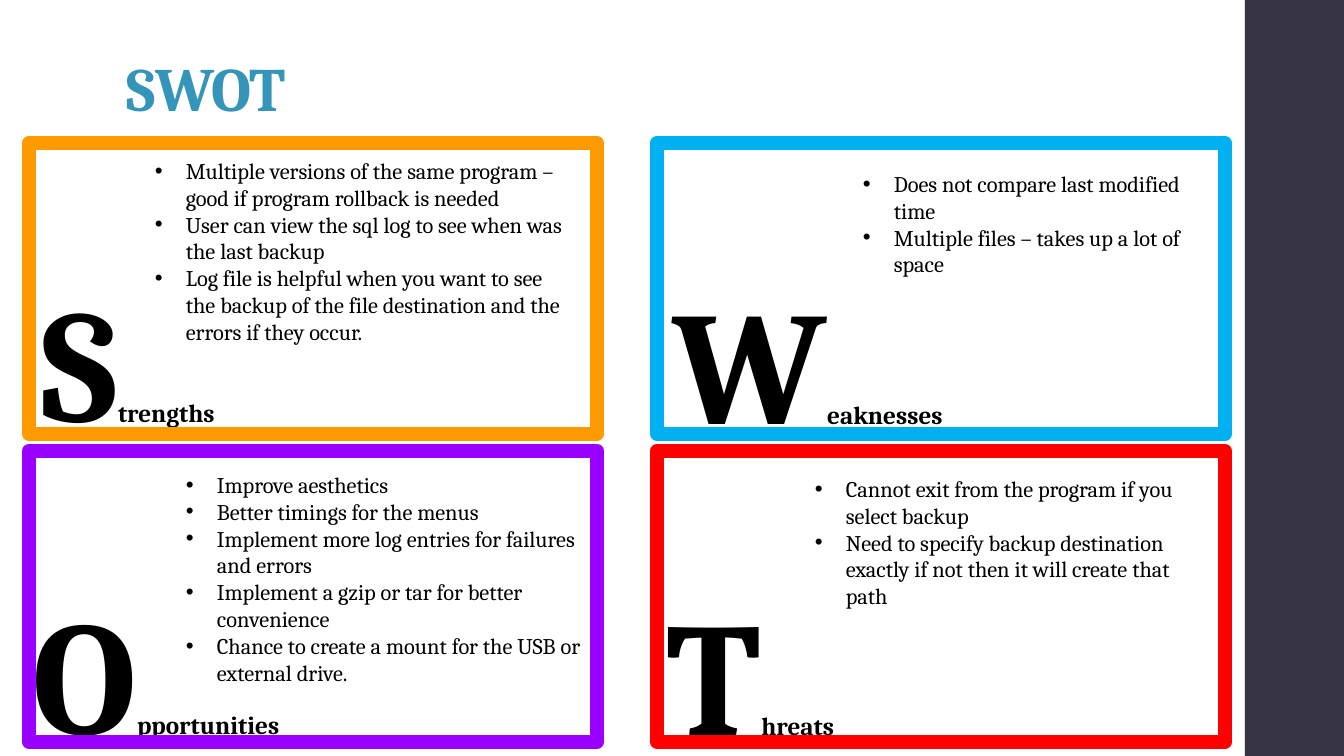
import pptx
import pptx.util
import pptx.dml.color
import pptx.enum.shapes
import pptx.enum.text
import lxml.etree

HUES = {"title": "3494BA", "text": "000000", "side": "373545",
        "gold": "FF9B00", "blue": "00B0F0", "plum": "9900FF", "red": "FF0000"}
FONT = "Cambria"
# Each part: word, frame colour, word box, list box, points
PARTS = [
    ("Strengths", "gold", (32, 257, 358, 206), (145, 152, 434, 228), [
        "Multiple versions of the same program – good if program rollback is needed",
        "User can view the sql log to see when was the last backup",
        "Log file is helpful when you want to see the backup of the file "
        "destination and the errors if they occur."]),
    ("Weaknesses", "blue", (663, 259, 384, 206), (853, 165, 360, 119), [
        "Does not compare last modified time",
        "Multiple files – takes up a lot of space"]),
    ("Opportunities", "plum", (23, 569, 452, 206), (176, 466, 420, 228), [
        "Improve aesthetics",
        "Better timings for the menus",
        "Implement more log entries for failures and errors",
        "Implement a gzip or tar for better convenience",
        "Chance to create a mount for the USB or external drive."]),
    ("Threats", "red", (657, 570, 402, 206), (805, 470, 420, 146), [
        "Cannot exit from the program if you select backup",
        "Need to specify backup destination exactly if not then it will "
        "create that path"]),
]
LEFT, TOP, WIDE, HIGH = 29, 143, 568, 291
STEP_X, STEP_Y = 628, 308
INDENT = 31
PIXEL = 914400 / 100.8


def emu(num):
    """Turn pixels into EMU."""
    return pptx.util.Emu(round(num * PIXEL))


def tint(name):
    """Look up a colour by name."""
    return pptx.dml.color.RGBColor.from_string(HUES[name])


def dot(para):
    """Give a paragraph a hanging bullet."""
    props = para._p.get_or_add_pPr()
    props.set("marL", str(emu(INDENT)))
    props.set("indent", str(-emu(INDENT)))
    space = pptx.oxml.ns.qn
    lxml.etree.SubElement(props, space("a:buFont")).set("typeface", "Arial")
    lxml.etree.SubElement(props, space("a:buChar")).set("char", "•")


def write(slide, box, paras, hue="text", bold=False, bullet=False,
          grow=True, space=None, track=None):
    """Add a text box; each paragraph is a list of (text, size) runs."""
    frame = slide.shapes.add_textbox(*map(emu, box)).text_frame
    frame.word_wrap = True
    if grow:
        frame.auto_size = pptx.enum.text.MSO_AUTO_SIZE.SHAPE_TO_FIT_TEXT
    for spot, runs in enumerate(paras):
        para = frame.add_paragraph() if spot else frame.paragraphs[0]
        if space:
            para.line_spacing = space
        if bullet:
            dot(para)
        for text, size in runs:
            run = para.add_run()
            run.text = text
            run.font.name = FONT
            run.font.size = pptx.util.Pt(size)
            run.font.bold = bold
            run.font.color.rgb = tint(hue)
            if track:
                run._r.get_or_add_rPr().set("spc", str(track))
    return frame


def block(slide, box, fill=None, line=None):
    """Add a rectangle with a fill, an outline or both."""
    shape = slide.shapes.add_shape(
        pptx.enum.shapes.MSO_SHAPE.RECTANGLE, *map(emu, box))
    shape.shadow.inherit = False
    if fill:
        shape.fill.solid()
        shape.fill.fore_color.rgb = tint(fill)
    else:
        shape.fill.background()
    if line:
        shape.line.color.rgb = tint(line)
        shape.line.width = pptx.util.Pt(10)
    else:
        shape.line.fill.background()


def main():
    """Build the slide and save it."""
    deck = pptx.Presentation()
    deck.slide_width, deck.slide_height = emu(1344), emu(756)
    slide = deck.slides.add_slide(deck.slide_layouts[6])
    block(slide, (1245, 0, 99, 756), fill="side")
    head = write(slide, (117, 23, 1093, 107), [[("SWOT", 44)]], hue="title",
                 bold=True, grow=False, space=0.9, track=-50)
    head.vertical_anchor = pptx.enum.text.MSO_ANCHOR.BOTTOM
    head.margin_top = emu(3)
    for word, _, box, _, _ in PARTS:
        write(slide, box, [[(word[0], 115), (word[1:], 18)]], bold=True)
    for spot, (_, hue, _, _, _) in enumerate(PARTS):
        row, col = divmod(spot, 2)
        block(slide, (LEFT + col * STEP_X, TOP + row * STEP_Y, WIDE, HIGH),
              line=hue)
    for _, _, _, box, points in PARTS:
        write(slide, box, [[(point, 16)] for point in points], bullet=True)
    deck.save("out.pptx")


main()
